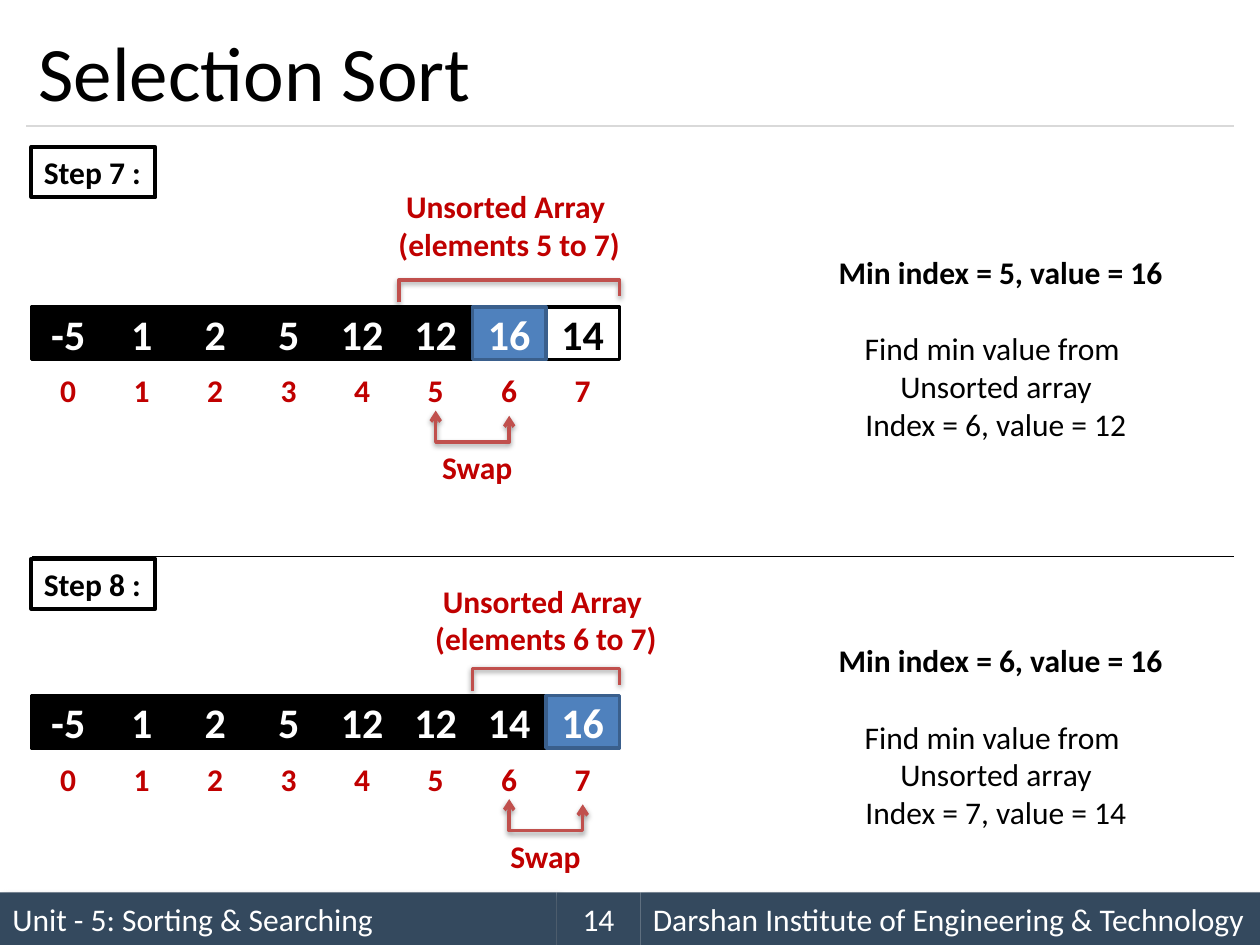
from dataclasses import dataclass
from typing import Optional

from lxml.etree import SubElement
from pptx import Presentation
from pptx.dml.color import RGBColor
from pptx.enum.shapes import MSO_CONNECTOR, MSO_SHAPE
from pptx.enum.text import MSO_ANCHOR as Anchor, PP_ALIGN as Align
from pptx.oxml.ns import qn
from pptx.util import Emu, Inches, Pt

COLUMNS, ROWS = 120, 90  # the slide is a grid of 1/12 inch squares
UNIT = Inches(10) // COLUMNS
ARRAY_LEFT, CELL_WIDTH, CELL_HEIGHT = 3, 7, 5
COLORS = {
    "black": "000000", "white": "FFFFFF", "red": "C00000", "bracket": "C0504D",
    "blue": "4F81BD", "blue_edge": "3A5F8C", "footer": "34495E", "rule": "D9D9D9",
}


@dataclass
class Area:
    left: float
    top: float
    width: float
    height: float

    def emu(self) -> list[Emu]:
        return [grid(n) for n in (self.left, self.top, self.width, self.height)]


@dataclass
class TextStyle:
    size: int = 18
    color: str = "black"
    bold: bool = False
    align: Align = Align.LEFT
    anchor: Anchor = Anchor.TOP
    wrap: bool = True


@dataclass
class Shadow:
    alpha: int
    blur: float
    distance: float
    angle: int


@dataclass
class Step:
    number: int
    label_top: float
    array_top: float
    heading_top: float
    swap_left: float
    values: list[int]
    first_unsorted: int
    highlighted: int
    min_value: int
    found_index: int
    found_value: int


STEPS = [
    Step(7, 14, 29.25, 17.2, 39.5, [-5, 1, 2, 5, 12, 12, 16, 14], 5, 6, 16, 6, 12),
    Step(8, 53.2, 66.25, 54.8, 46, [-5, 1, 2, 5, 12, 12, 14, 16], 6, 7, 16, 7, 14),
]
BRACKET_SHADOW = Shadow(38, 3.1, 1.6, 90)
FOOTER_SHADOW = Shadow(40, 4, 3, 45)
BOLD = TextStyle(bold=True, wrap=False)
RED = TextStyle(color="red", bold=True, align=Align.CENTER)


def grid(squares: float) -> Emu:
    return Emu(round(squares * UNIT))


def column(index: float) -> float:
    """Left edge of an array cell, in grid columns."""
    return ARRAY_LEFT + index * CELL_WIDTH


def rgb(name: str) -> RGBColor:
    return RGBColor.from_string(COLORS[name])


def write(shape, text: str, style: TextStyle) -> None:
    frame = shape.text_frame
    frame.text = text
    frame.word_wrap = style.wrap
    frame.vertical_anchor = style.anchor
    for para in frame.paragraphs:
        para.alignment = style.align
        para.font.name = "Calibri"
        para.font.size = Pt(style.size)
        para.font.bold = style.bold
        para.font.color.rgb = rgb(style.color)


def add_text(page, area: Area, text: str, style: TextStyle) -> None:
    write(page.shapes.add_textbox(*area.emu()), text, style)


def paint(shape, fill: Optional[str], line: Optional[str], weight: float = 2,
          shadow: Optional[Shadow] = None) -> None:
    if fill:
        shape.fill.solid()
        shape.fill.fore_color.rgb = rgb(fill)
    else:
        shape.fill.background()
    if line:
        shape.line.color.rgb = rgb(line)
        shape.line.width = Pt(weight)
    else:
        shape.line.fill.background()
    shape.shadow.inherit = False
    if shadow:
        effects = shape._element.spPr.find(qn("a:effectLst"))
        outer = SubElement(effects, qn("a:outerShdw"), blurRad=str(Pt(shadow.blur)),
                           dist=str(Pt(shadow.distance)), dir=str(shadow.angle * 60000),
                           rotWithShape="0")
        color = SubElement(outer, qn("a:srgbClr"), val=COLORS["black"])
        SubElement(color, qn("a:alpha"), val=str(shadow.alpha * 1000))


def add_box(page, area: Area, text: str, style: TextStyle, fill: Optional[str] = None,
            line: Optional[str] = None, weight: float = 2,
            shadow: Optional[Shadow] = None) -> None:
    box = page.shapes.add_shape(MSO_SHAPE.RECTANGLE, *area.emu())
    paint(box, fill, line, weight, shadow)
    write(box, text, style)


def add_rule(page, left: float, right: float, row: float, color: str) -> None:
    rule = page.shapes.add_connector(MSO_CONNECTOR.STRAIGHT, grid(left), grid(row),
                                     grid(right), grid(row))
    rule.line.color.rgb = rgb(color)
    rule.line.width = Pt(0.75)
    SubElement(rule._element.spPr, qn("a:effectLst"))


def add_bracket(page, left: float, right: float, left_end: float, bar: float,
                right_end: float, arrows: bool = False) -> None:
    points = [(left, left_end), (left, bar), (right, bar), (right, right_end)]
    start, *rest = [(grid(x), grid(y)) for x, y in points]
    builder = page.shapes.build_freeform(*start)
    builder.add_line_segments(rest, close=False)
    bracket = builder.convert_to_shape()
    paint(bracket, None, "bracket", shadow=BRACKET_SHADOW)
    if arrows:
        for end in ("a:headEnd", "a:tailEnd"):
            SubElement(bracket.line._get_or_add_ln(), qn(end), type="arrow")


def add_array(page, step: Step) -> None:
    cells = list(enumerate(step.values))
    for index, _ in cells:
        area = Area(column(index), step.array_top + 5.4, CELL_WIDTH, CELL_HEIGHT)
        add_box(page, area, str(index),
                TextStyle(18, "red", True, Align.CENTER, Anchor.MIDDLE), "white")
    # The highlighted cell goes last so that its edge stays on top.
    for index, value in sorted(cells, key=lambda cell: cell[0] == step.highlighted):
        fill, line, ink = "black", "black", "white"
        if index == step.highlighted:
            fill, line = "blue", "blue_edge"
        elif index > step.highlighted:
            fill, ink = "white", "black"
        add_box(page, Area(column(index), step.array_top, CELL_WIDTH, CELL_HEIGHT),
                str(value), TextStyle(24, ink, True, Align.CENTER, Anchor.MIDDLE), fill, line)


def add_step(page, step: Step) -> None:
    top, first, last = step.array_top, step.first_unsorted, len(step.values) - 1
    add_box(page, Area(3, step.label_top, 11.8, 4.8), f"Step {step.number} :", BOLD,
            line="black", weight=2.25)
    add_array(page, step)

    left, right = column(first), column(last + 1)
    add_bracket(page, left, right, top - 0.45, top - 2.6, top - 1.05)
    add_text(page, Area((left + right - 23.6) / 2, step.heading_top, 23.6, 8.5),
             f"Unsorted Array \n(elements {first} to {last})", RED)

    add_bracket(page, column(first + 0.5), column(first + 1.5),
                top + 9.85, top + 12.85, top + 10.35, arrows=True)
    add_text(page, Area(step.swap_left, top + 12.85, 11.9, 4.8), "Swap", RED)

    add_text(page, Area(78.7, top - 5.75, 33.6, 4.8),
             f"Min index = {first}, value = {step.min_value}", BOLD)
    add_text(page, Area(81, top + 1.5, 27.7, 12.1),
             "Find min value from \nUnsorted array\n"
             f"Index = {step.found_index}, value = {step.found_value}",
             TextStyle(align=Align.CENTER, wrap=False))


def add_footer(page) -> None:
    left_style = TextStyle(color="white", anchor=Anchor.MIDDLE)
    center_style = TextStyle(color="white", align=Align.CENTER, anchor=Anchor.MIDDLE)
    for left, width, text, style, shadow in (
        (0, 53, "Unit - 5: Sorting & Searching", left_style, FOOTER_SHADOW),
        (61, 59, "Darshan Institute of Engineering & Technology", left_style, FOOTER_SHADOW),
        (53, 8, "14", center_style, None),
    ):
        add_box(page, Area(left, 85, width, 5), text, style, "footer", shadow=shadow)


def main() -> None:
    deck = Presentation()
    deck.slide_width, deck.slide_height = grid(COLUMNS), grid(ROWS)
    page = deck.slides.add_slide(deck.slide_layouts[6])
    add_footer(page)
    add_rule(page, 2.5, 117.5, 12, "rule")
    add_text(page, Area(2.5, 1.5, 115, 10.5), "Selection Sort",
             TextStyle(44, anchor=Anchor.MIDDLE))
    for step in STEPS:
        add_step(page, step)
    add_rule(page, 3, 117.5, 53, "black")
    deck.save("out.pptx")


if __name__ == "__main__":
    main()
